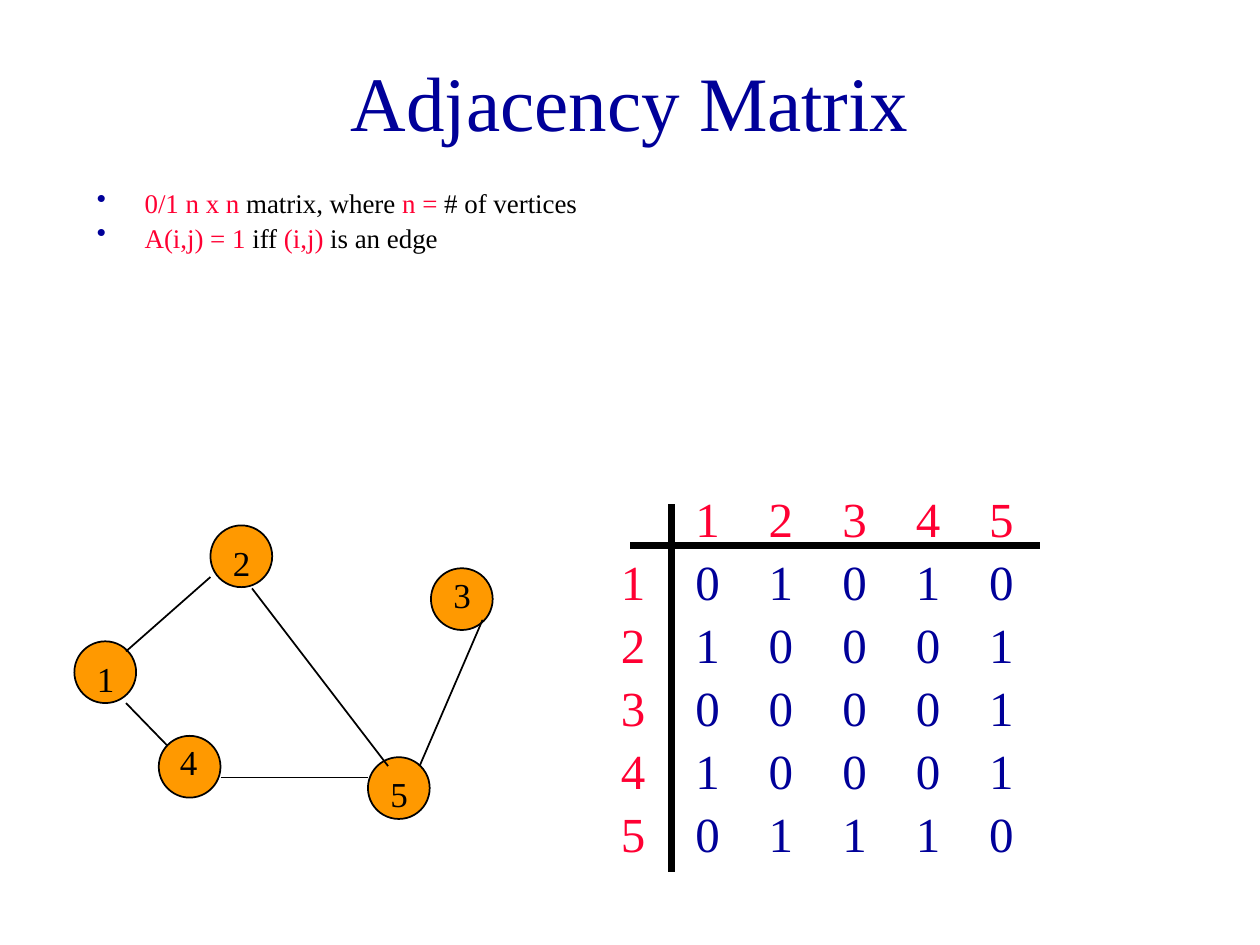
from dataclasses import dataclass

from lxml.etree import SubElement
from pptx import Presentation
from pptx.dml.color import RGBColor
from pptx.enum.shapes import MSO_CONNECTOR, MSO_SHAPE
from pptx.enum.text import MSO_ANCHOR, MSO_AUTO_SIZE, PP_ALIGN
from pptx.oxml.ns import qn
from pptx.util import Inches, Pt

FONT = "Times New Roman"
NAVY, RED, BLACK, ORANGE = "000099", "FF0033", "000000", "FF9900"
VERTEX_SIZE = 0.49

# Matrix grid, in inches
HEADER_LEFT, HEADER_TOP = 4.83, 3.83
FIRST_COLUMN, COLUMN_STEP = 5.42, 7 / 12
FIRST_ROW, ROW_STEP = 4.33, 0.5


@dataclass
class Vertex:
    number: int
    left: float
    top: float
    label_left: float
    label_top: float


@dataclass
class Edge:
    vertices: tuple[int, int]
    start: tuple[float, float]
    end: tuple[float, float]


VERTICES = [
    Vertex(1, 0.59, 5.09, 0.67, 5.17),
    Vertex(2, 1.67, 4.17, 1.75, 4.25),
    Vertex(3, 3.42, 4.51, 3.5, 4.5),
    Vertex(4, 1.26, 5.84, 1.33, 5.83),
    Vertex(5, 2.92, 6.01, 3, 6.08),
]
EDGES = [
    Edge((1, 2), (1.67, 4.58), (1, 5.17)),
    Edge((2, 5), (2, 4.67), (3.08, 6.08)),
    Edge((1, 4), (1, 5.58), (1.33, 5.92)),
    Edge((3, 5), (3.83, 4.92), (3.33, 6.08)),
    Edge((4, 5), (1.75, 6.17), (2.92, 6.17)),
]
DEFINITIONS = [
    [("0/1 n x n ", RED), ("matrix, where ", BLACK), ("n = ", RED), ("# of vertices", BLACK)],
    [("A(i,j) = 1", RED), (" iff ", BLACK), ("(i,j)", RED), (" is an edge", BLACK)],
]


def color(hex_value: str) -> RGBColor:
    return RGBColor.from_string(hex_value)


def set_font(font, size: float, hex_value: str | None = None) -> None:
    font.name = FONT
    font.size = Pt(size)
    if hex_value:
        font.color.rgb = color(hex_value)


def add_text_frame(shapes, left: float, top: float, width: float, height: float):
    box = shapes.add_textbox(Inches(left), Inches(top), Inches(width), Inches(height))
    box.text_frame.word_wrap = True
    return box.text_frame


def add_digit(shapes, digit: int, left: float, top: float, width: float, height: float,
              size: float, hex_value: str) -> None:
    frame = add_text_frame(shapes, left, top, width, height)
    frame.auto_size = MSO_AUTO_SIZE.SHAPE_TO_FIT_TEXT
    paragraph = frame.paragraphs[0]
    paragraph.text = str(digit)
    paragraph.space_before = Pt(size * 0.625)
    set_font(paragraph.font, size, hex_value)


def add_vertex_label(shapes, vertex: Vertex) -> None:
    add_digit(shapes, vertex.number, vertex.label_left, vertex.label_top, 0.25, 0.43, 20, BLACK)


def add_matrix_digit(shapes, digit: int, left: float, top: float, width: float,
                     hex_value: str) -> None:
    add_digit(shapes, digit, left, top, width, 0.57, 28, hex_value)


def add_line(shapes, start: tuple[float, float], end: tuple[float, float], width: float) -> None:
    line = shapes.add_connector(MSO_CONNECTOR.STRAIGHT, *map(Inches, start + end))
    line.line.color.rgb = color(BLACK)
    line.line.width = Pt(width)
    SubElement(line._element.spPr, qn("a:effectLst"))


def add_vertex(shapes, vertex: Vertex) -> None:
    circle = shapes.add_shape(MSO_SHAPE.OVAL, Inches(vertex.left), Inches(vertex.top),
                              Inches(VERTEX_SIZE), Inches(VERTEX_SIZE))
    circle.shadow.inherit = False
    circle.fill.solid()
    circle.fill.fore_color.rgb = color(ORANGE)
    circle.line.color.rgb = color(BLACK)
    circle.line.width = Pt(1)


def add_bullet(paragraph) -> None:
    properties = paragraph._p.get_or_add_pPr()
    properties.set("marL", str(Inches(0.38)))
    properties.set("indent", str(Inches(-0.38)))
    bullet_color = SubElement(properties, qn("a:buClr"))
    SubElement(bullet_color, qn("a:srgbClr"), val=NAVY)
    SubElement(properties, qn("a:buChar"), char="•")


def add_heading(shapes) -> None:
    frame = add_text_frame(shapes, 0.75, 0.17, 8.5, 1.25)
    frame.vertical_anchor = MSO_ANCHOR.MIDDLE
    title = frame.paragraphs[0]
    title.text = "Adjacency Matrix"
    title.alignment = PP_ALIGN.CENTER
    set_font(title.font, 44, NAVY)


def add_definitions(shapes) -> None:
    frame = add_text_frame(shapes, 0.67, 1.5, 8.5, 0.58)
    for index, phrases in enumerate(DEFINITIONS):
        paragraph = frame.add_paragraph() if index else frame.paragraphs[0]
        paragraph.line_spacing = 0.7
        paragraph.space_before = Pt(7)
        add_bullet(paragraph)
        set_font(paragraph.font, 15.4)
        for text, hex_value in phrases:
            run = paragraph.add_run()
            run.text = text
            run.font.color.rgb = color(hex_value)


def add_graph(shapes) -> None:
    graph = shapes.add_group_shape().shapes
    for vertex in VERTICES:
        add_vertex(graph, vertex)
    for edge in EDGES:
        add_line(graph, edge.start, edge.end, 1)
    for vertex in VERTICES:
        add_vertex_label(graph, vertex)


def add_matrix(shapes) -> None:
    numbers = [vertex.number for vertex in VERTICES]
    column_lefts = [FIRST_COLUMN + i * COLUMN_STEP for i in range(len(numbers))]
    row_tops = [FIRST_ROW + i * ROW_STEP for i in range(len(numbers))]

    # Row and column headings with their rules
    headings = shapes.add_group_shape().shapes
    for number, left in zip(numbers, column_lefts):
        add_matrix_digit(headings, number, left, HEADER_TOP, 0.5, RED)
    add_line(headings, (5, 4.33), (8.25, 4.33), 4)
    add_line(headings, (5.33, 4), (5.33, 6.92), 4)
    for number, top in zip(numbers, row_tops):
        add_matrix_digit(headings, number, HEADER_LEFT, top, 0.5, RED)

    # Entries follow from the undirected edges
    adjacent = {edge.vertices for edge in EDGES}
    for row, top in zip(numbers, row_tops):
        for column, left in zip(numbers, column_lefts):
            entry = int((min(row, column), max(row, column)) in adjacent)
            add_matrix_digit(shapes, entry, left, top, 0.33, NAVY)


def main() -> None:
    presentation = Presentation()
    presentation.slide_width, presentation.slide_height = Inches(10), Inches(7.5)
    shapes = presentation.slides.add_slide(presentation.slide_layouts[6]).shapes
    add_heading(shapes)
    add_definitions(shapes)
    add_graph(shapes)
    add_matrix(shapes)
    presentation.save("out.pptx")


if __name__ == "__main__":
    main()
